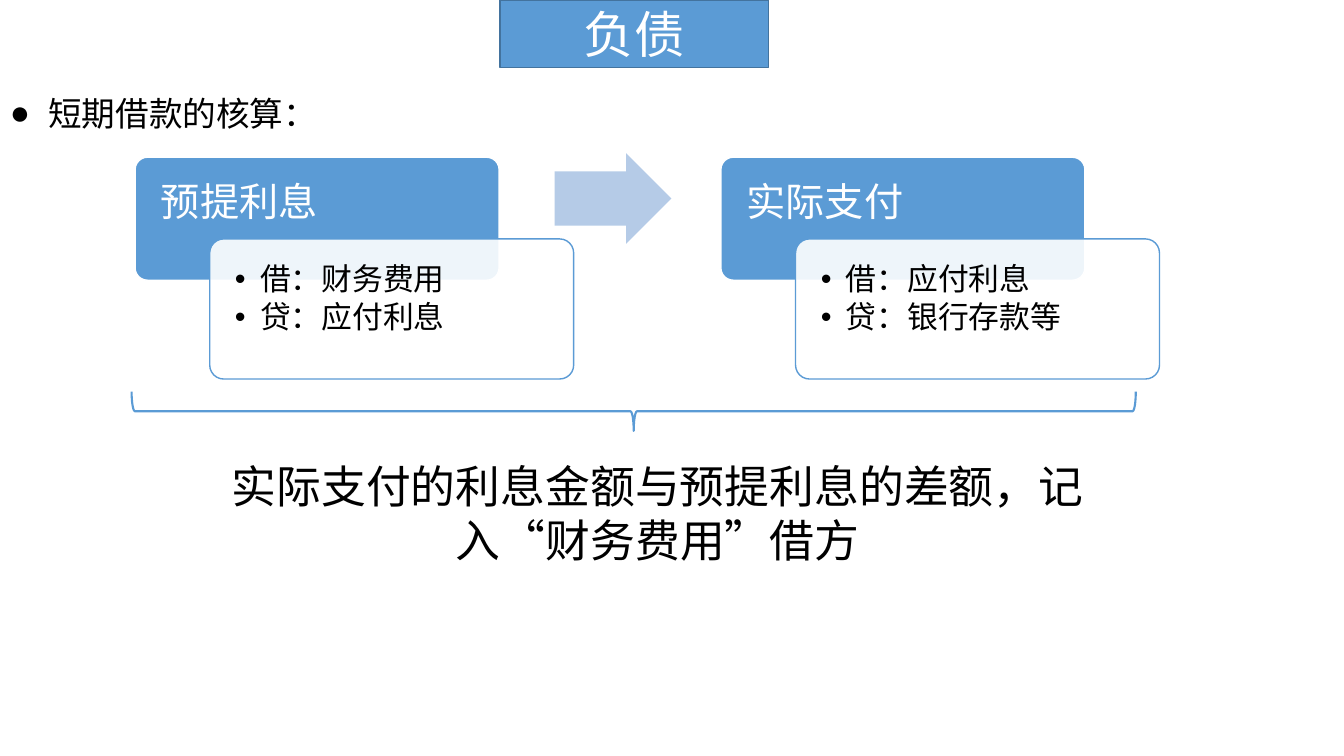
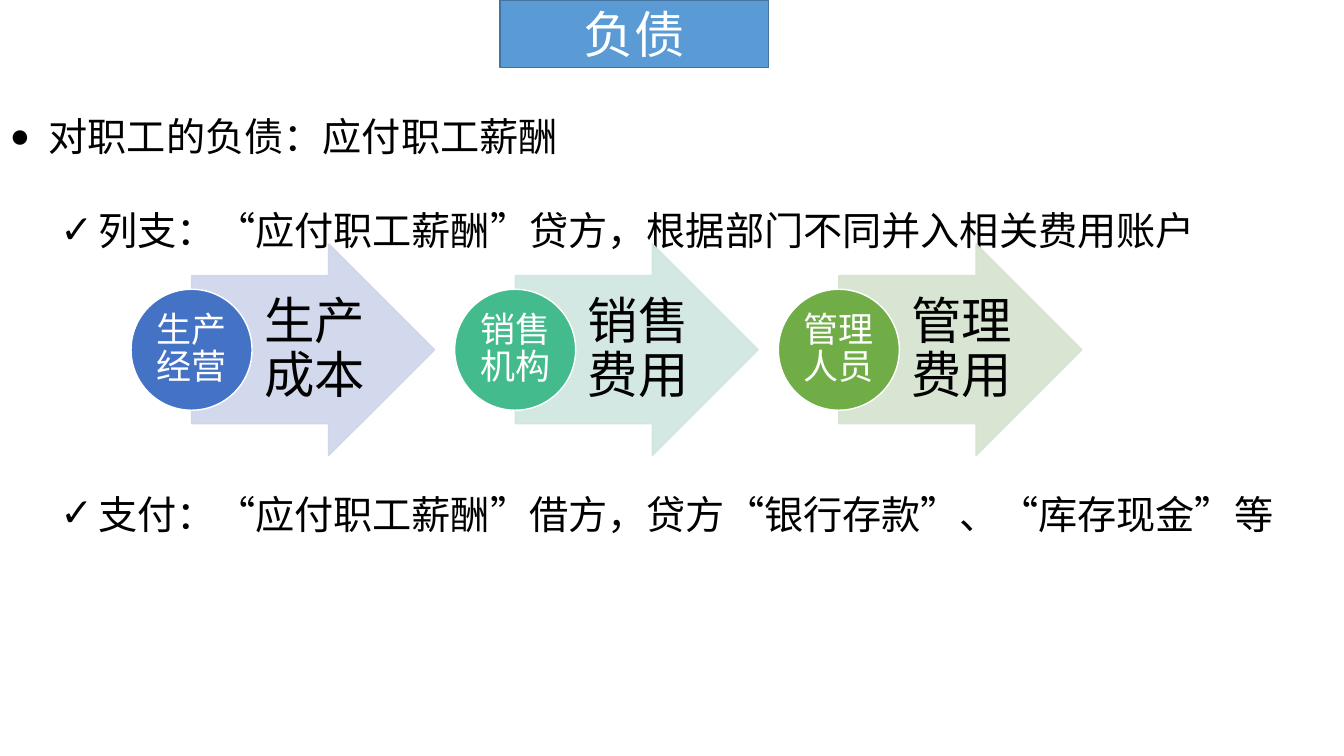
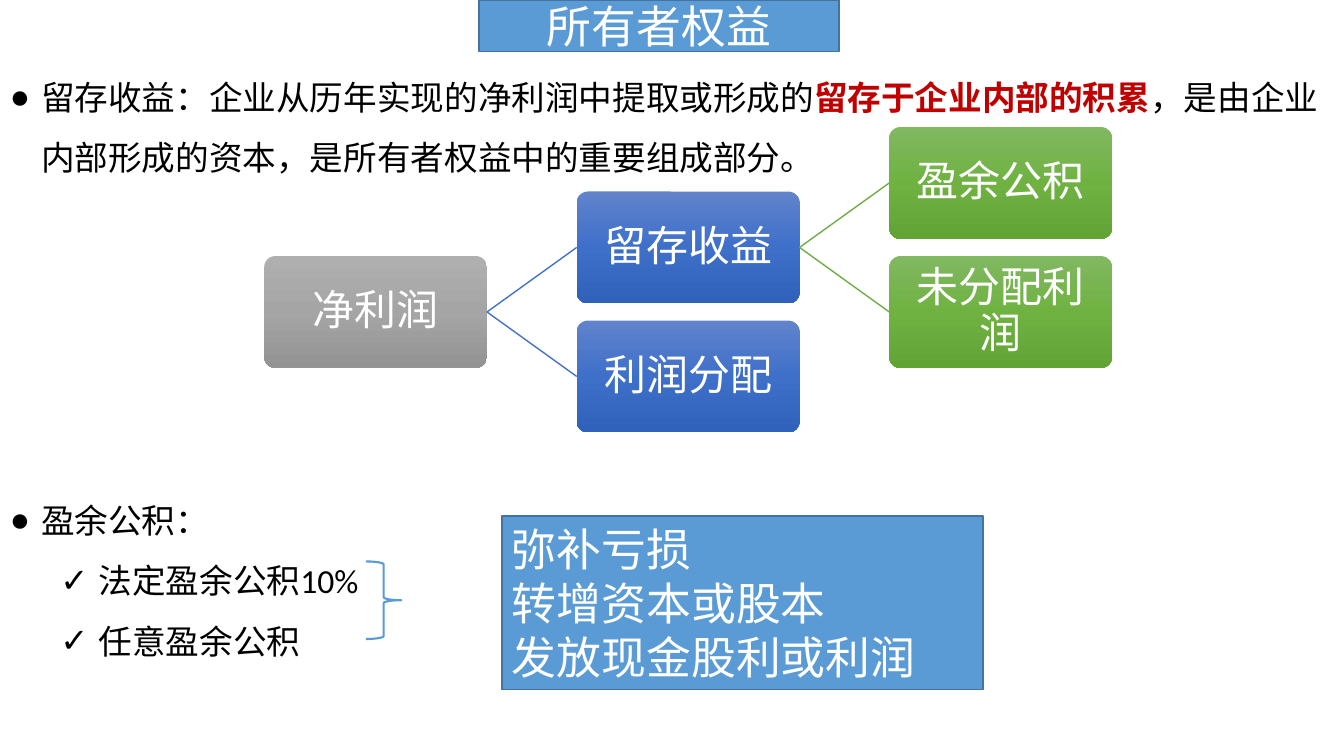
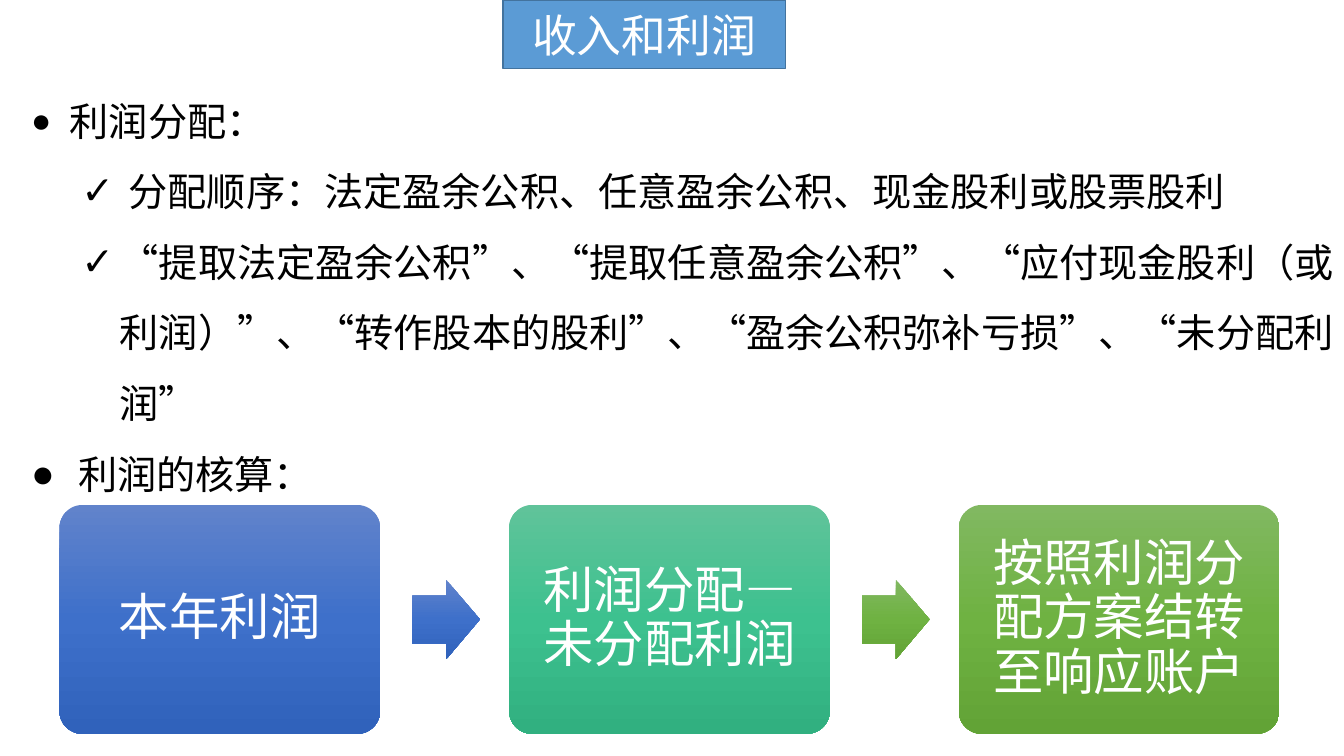
from copy import deepcopy

from pptx import Presentation
from pptx import util as u
from pptx.dml.color import RGBColor
from pptx.enum import lang, shapes, text
from pptx.oxml import parse_xml
from pptx.oxml.ns import nsdecls, qn
from pptx.oxml.xmlchemy import OxmlElement

# Shared style
FONT = "Calibri"
WHITE = RGBColor(0xFF, 0xFF, 0xFF)
BLACK = RGBColor(0x00, 0x00, 0x00)
RED = RGBColor(0xC0, 0x00, 0x00)
SKY = RGBColor(0x5B, 0x9B, 0xD5)
SKY_EDGE = RGBColor(0x43, 0x73, 0x9E)
PALE_SKY = RGBColor(0xB5, 0xCB, 0xE7)
BLUE = RGBColor(0x44, 0x72, 0xC4)
TEAL = RGBColor(0x43, 0xBB, 0x8D)
GREEN = RGBColor(0x70, 0xAD, 0x47)
PALE_BLUE = RGBColor(0xCF, 0xD5, 0xEA)
PALE_TEAL = RGBColor(0xCF, 0xE6, 0xE0)
PALE_GREEN = RGBColor(0xD5, 0xE3, 0xCF)

# Gradients, from top to bottom
GREY_BLEND = [RGBColor.from_string(c) for c in ("AFAFAF", "A5A5A5", "939393")]
BLUE_BLEND = [RGBColor.from_string(c) for c in ("6183CB", "3E70CA", "3062BB")]
TEAL_BLEND = [RGBColor.from_string(c) for c in ("60C39A", "3DC18F", "31B080")]
GREEN_BLEND = [RGBColor.from_string(c) for c in ("81B861", "6FB242", "62A336")]

CENTER = text.PP_ALIGN.CENTER
LEFT = text.PP_ALIGN.LEFT
MIDDLE = text.MSO_ANCHOR.MIDDLE
TOP = text.MSO_ANCHOR.TOP
KIND = shapes.MSO_SHAPE
INSETS = (0.1, 0.05, 0.1, 0.05)

# Bullets: sign, left margin, first-line indent
DOT = ("●", 0.31, -0.31)
WIDE_DOT = ("●", 0.38, -0.38)
CHECK = ("✓", 0.88, -0.38)
SMALL_DOT = ("•", 0.25, -0.25)


def add_bullet(para, bullet):
    sign, margin, indent = bullet
    props = para._p.get_or_add_pPr()
    props.set("marL", str(u.Inches(margin)))
    props.set("indent", str(u.Inches(indent)))
    for tag, name, value in (("a:buFont", "typeface", "Arial"), ("a:buChar", "char", sign)):
        item = OxmlElement(tag)
        item.set(name, value)
        props.append(item)


def write(box, paras, size, color=BLACK, align=LEFT, anchor=TOP, insets=INSETS, **spacing):
    """Fill a box; a paragraph is (spans, bullet, paragraph formats)."""
    frame = box.text_frame
    frame.word_wrap = True
    frame.auto_size = text.MSO_AUTO_SIZE.NONE
    frame.vertical_anchor = anchor
    for side, inset in zip(("left", "top", "right", "bottom"), insets):
        setattr(frame, "margin_" + side, u.Inches(inset))
    for number, (spans, bullet, formats) in enumerate(paras):
        para = frame.add_paragraph() if number else frame.paragraphs[0]
        for name, value in {"alignment": align, **spacing, **formats}.items():
            setattr(para, name, value)
        if bullet:
            add_bullet(para, bullet)
        for words, style in spans:
            span = para.add_run()
            span.text = words
            style = {"name": FONT, "size": size, "color": color, "bold": False,
                     "language_id": lang.MSO_LANGUAGE_ID.SIMPLIFIED_CHINESE, **style}
            span.font.color.rgb = style.pop("color")
            span.font.size = u.Pt(style.pop("size"))
            for name, value in style.items():
                setattr(span.font, name, value)


def line(words, bullet=None, **formats):
    return [(words, {})], bullet, formats


def paint(shape, fill=None, edge=None, width=1):
    """A colour, a list of three colours for a gradient, or None for no fill."""
    if fill is None:
        shape.fill.background()
    elif isinstance(fill, list):
        shape.fill.gradient()
        shape.fill.gradient_angle = 270
        stops = shape._element.spPr.find(".//" + qn("a:gsLst"))
        stops.insert(1, deepcopy(stops[0]))
        for number, (stop, color) in enumerate(zip(shape.fill.gradient_stops, fill)):
            stop.color.rgb = color
            stop.position = number / 2
    else:
        shape.fill.solid()
        shape.fill.fore_color.rgb = fill
    if edge is None:
        shape.line.fill.background()
    else:
        shape.line.color.rgb = edge
        shape.line.width = u.Pt(width)


def fade(shape, parts):
    for color in shape._element.spPr.xpath(parts):
        alpha = OxmlElement("a:alpha")
        alpha.set("val", "90000")
        color.append(alpha)


def add_shape(page, kind, place, fill=None, edge=None, width=1, adjust=()):
    shape = page.shapes.add_shape(kind, *map(u.Inches, place))
    shape.shadow.inherit = False
    paint(shape, fill, edge, width)
    for number, value in enumerate(adjust):
        shape.adjustments[number] = value
    return shape


def add_text(page, place, paras, size, **formats):
    box = page.shapes.add_textbox(*map(u.Inches, place))
    write(box, paras, size, **formats)


def add_link(page, start, end, color):
    link = page.shapes.add_connector(shapes.MSO_CONNECTOR.STRAIGHT,
                                     *map(u.Inches, start + end))
    link.line.color.rgb = color
    link.line.width = u.Pt(1)
    link._element.spPr.append(OxmlElement("a:effectLst"))


def add_page(deck, title, place, size, outline="roundRect"):
    """A title-only slide whose title is a blue bar at the top edge."""
    page = deck.slides.add_slide(deck.slide_layouts[5])
    bar = page.shapes.title
    for name, value in zip(("left", "top", "width", "height"), place):
        setattr(bar, name, u.Inches(value))
    bar._element.spPr.append(parse_xml(
        '<a:prstGeom %s prst="%s"><a:avLst/></a:prstGeom>' % (nsdecls("a"), outline)))
    paint(bar, SKY, SKY_EDGE)
    write(bar, [line(title)], size, color=WHITE, align=CENTER, anchor=MIDDLE)
    return page


# Diagram parts
def add_entry(page, left, top, head, entries):
    """A heading card with the booking entries overlapping it."""
    card = add_shape(page, KIND.ROUNDED_RECTANGLE, (left, top, 3.61, 1.22), SKY, WHITE,
                     adjust=[0.1])
    write(card, [line(head)], 28, color=WHITE, insets=(0.22, 0.22, 0.22, 0.12),
          line_spacing=0.9)
    note = add_shape(page, KIND.ROUNDED_RECTANGLE, (left + 0.74, top + 0.81, 3.61, 1.39),
                     WHITE, SKY, adjust=[0.1])
    fade(note, "a:solidFill/a:srgbClr")
    write(note, [line(entry, SMALL_DOT) for entry in entries], 22, insets=(0.21,) * 4,
          line_spacing=0.9, space_after=u.Pt(3.3))


def add_department(page, left, top, staff, cost, color, pale):
    """A circle for the staff on an arrow that names the cost account."""
    arrow = add_shape(page, KIND.RIGHT_ARROW, (left + 0.6, top, 2.41, 2.1), pale, pale,
                      adjust=[0.7, 0.5])
    fade(arrow, "a:solidFill/a:srgbClr | a:ln/a:solidFill/a:srgbClr")
    centered = {"align": CENTER, "anchor": MIDDLE, "line_spacing": 0.9}
    add_text(page, (left + 1.21, top + 0.32, 1.17, 1.47), [line(cost)], 36,
             insets=(0.1, 0.03, 0.05, 0.03), **centered)
    circle = add_shape(page, KIND.OVAL, (left, top + 0.45, 1.2, 1.2), color, WHITE)
    write(circle, [line(staff)], 25, color=WHITE, insets=(0.02,) * 4, **centered)


def add_card(page, place, words, blend, size, inset):
    card = add_shape(page, KIND.ROUNDED_RECTANGLE, place, blend, adjust=[0.1])
    write(card, [line(words)], size, color=WHITE, align=CENTER, anchor=MIDDLE,
          insets=(inset,) * 4, line_spacing=0.9)


def add_profit_tree(page, left, top):
    width, height, column_step, row_step = 2.21, 1.11, 3.1, 0.64
    nodes = {  # name: column, row, gradient, parent, link colour
        "净利润": (0, 2, GREY_BLEND, None, None),
        "留存收益": (1, 1, BLUE_BLEND, "净利润", BLUE),
        "利润分配": (1, 3, BLUE_BLEND, "净利润", BLUE),
        "盈余公积": (2, 0, GREEN_BLEND, "留存收益", GREEN),
        "未分配利润": (2, 2, GREEN_BLEND, "留存收益", GREEN),
    }

    def corner(name):
        column, row = nodes[name][:2]
        return left + column * column_step, top + row * row_step

    for name, (_, _, blend, parent, color) in nodes.items():
        x, y = corner(name)
        add_card(page, (x, y, width, height), name, blend, 30, 0.05)
        if parent:
            parent_x, parent_y = corner(parent)
            add_link(page, (parent_x + width, parent_y + height / 2),
                     (x, y + height / 2), color)


def add_closing_flow(page, left, top):
    steps = [("本年利润", BLUE_BLEND, BLUE_BLEND),
             ("利润分配—未分配利润", TEAL_BLEND, GREEN_BLEND),
             ("按照利润分配方案结转至响应账户", GREEN_BLEND, None)]
    for number, (words, blend, arrow_blend) in enumerate(steps):
        x = left + number * 4.46
        add_card(page, (x, top, 3.18, 2.27), words, blend, 36, 0.22)
        if arrow_blend:
            add_shape(page, KIND.RIGHT_ARROW, (x + 3.5, top + 0.74, 0.67, 0.79),
                      arrow_blend, adjust=[0.6, 0.5])


# Slides
def build_loan_page(deck):
    page = add_page(deck, "负债", (4.96, 0, 2.66, 0.67), 36)
    add_text(page, (0, 0.67, 13.33, 0.64), [line("短期借款的核算：", WIDE_DOT)], 24,
             line_spacing=1.5)
    add_entry(page, 1.34, 1.56, "预提利息", ["借：财务费用", "贷：应付利息"])
    add_shape(page, KIND.RIGHT_ARROW, (5.5, 1.52, 1.16, 0.9), PALE_SKY, adjust=[0.6, 0.5])
    add_entry(page, 7.15, 1.56, "实际支付", ["借：应付利息", "贷：银行存款等"])
    brace = add_shape(page, KIND.RIGHT_BRACE, (6.09, -0.9, 0.39, 9.96), edge=SKY, width=1.5)
    brace.rotation = 90
    add_text(page, (1.78, 4.5, 9.49, 1.18),
             [line("实际支付的利息金额与预提利息的差额，记入“财务费用”借方")], 32, align=CENTER)


def build_payroll_page(deck):
    page = add_page(deck, "负债", (4.96, 0, 2.66, 0.67), 36)
    add_text(page, (0, 0.6, 13.33, 5.52), [
        ([(" ", {"size": 24}), ("对职工的负债：应付职工薪酬", {})], DOT, {}),
        line("列支：“应付职工薪酬”贷方，根据部门不同并入相关费用账户", CHECK),
        line("支付：“应付职工薪酬”借方，贷方“银行存款”、“库存现金”等", CHECK,
             space_before=u.Pt(135)),
    ], 28, line_spacing=2.0)
    departments = [("生产经营", "生产成本", BLUE, PALE_BLUE),
                   ("销售机构", "销售费用", TEAL, PALE_TEAL),
                   ("管理人员", "管理费用", GREEN, PALE_GREEN)]
    for number, department in enumerate(departments):
        add_department(page, 1.3 + number * 3.21, 2.42, *department)


def build_equity_page(deck):
    page = add_page(deck, "所有者权益", (4.75, 0, 3.57, 0.51), 32, "rect")
    add_text(page, (0, 0.51, 13.33, 6.16), [
        ([("留存收益：企业从历年实现的净利润中提取或形成的", {}),
          ("留存于企业内部的积累", {"color": RED, "bold": True}),
          ("，是由企业内部形成的资本，是所有者权益中的重要组成部分。", {})], DOT, {}),
        line("盈余公积：", DOT, space_before=u.Pt(216)),
        line("法定盈余公积10%", CHECK),
        line("任意盈余公积", CHECK),
    ], 24, line_spacing=1.5)
    add_profit_tree(page, 2.62, 1.26)
    add_shape(page, KIND.RIGHT_BRACE, (3.63, 5.57, 0.35, 0.77), edge=SKY, width=1.5)
    uses = add_shape(page, KIND.RECTANGLE, (4.98, 5.12, 4.77, 1.72), SKY, SKY_EDGE)
    write(uses, [line(use) for use in ("弥补亏损", "转增资本或股本", "发放现金股利或利润")],
          32, color=WHITE, anchor=MIDDLE)


def build_profit_page(deck):
    page = add_page(deck, "收入和利润", (4.99, 0, 2.8, 0.68), 32)
    add_text(page, (0.21, 0.68, 13.4, 4.26), [
        ([(" ", {"size": 24}), ("利润分配：", {})], DOT, {}),
        line(" 分配顺序：法定盈余公积、任意盈余公积、现金股利或股票股利", CHECK),
        line("“提取法定盈余公积”、“提取任意盈余公积”、“应付现金股利（或利润）”、"
             "“转作股本的股利”、“盈余公积弥补亏损”、“未分配利润”", CHECK),
        line(" 利润的核算：", WIDE_DOT),
    ], 28, line_spacing=1.5)
    add_closing_flow(page, 0.59, 5.01)


def main():
    deck = Presentation()
    deck.slide_width, deck.slide_height = u.Inches(13.33), u.Inches(7.5)
    for build in (build_loan_page, build_payroll_page, build_equity_page, build_profit_page):
        build(deck)
    deck.save("out.pptx")


if __name__ == "__main__":
    main()
